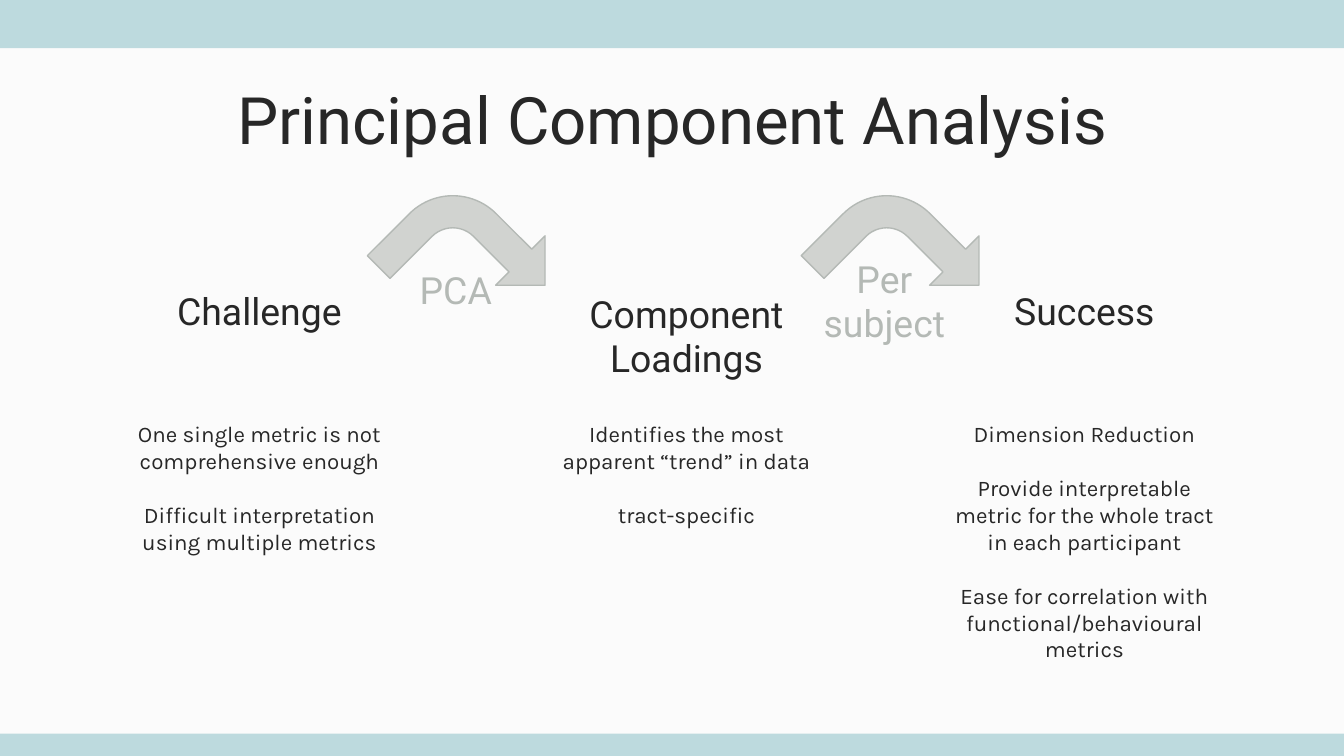
"""Build the Principal Component Analysis slide: three stages joined by two bent arrows."""
from dataclasses import dataclass

from pptx import Presentation
from pptx.dml.color import RGBColor
from pptx.enum.shapes import MSO_SHAPE
from pptx.enum.text import MSO_ANCHOR, PP_ALIGN
from pptx.slide import Slide
from pptx.util import Cm, Pt

RECTANGLE = MSO_SHAPE.RECTANGLE
BENT_ARROW = MSO_SHAPE.BENT_ARROW
TOP = MSO_ANCHOR.TOP
BOTTOM = MSO_ANCHOR.BOTTOM
CENTER = PP_ALIGN.CENTER


@dataclass(frozen=True)
class TextStyle:
    font: str
    size: float
    color: str
    anchor: MSO_ANCHOR = TOP
    gap: float = 0


@dataclass(frozen=True)
class Theme:
    background: str = "FBFBFB"
    band: str = "BDDADE"
    arrow_fill: str = "D1D3D0"
    arrow_line: str = "B4B9B5"
    title: TextStyle = TextStyle("Roboto", 35, "272727")
    heading: TextStyle = TextStyle("Roboto", 20, "272727", BOTTOM)
    step: TextStyle = TextStyle("Roboto", 20, "B4B9B5", BOTTOM)
    body: TextStyle = TextStyle("Karla", 12, "272727", TOP, 14.4)


@dataclass(frozen=True)
class Box:
    left: float
    top: float
    width: float
    height: float

    def lengths(self) -> tuple[Cm, Cm, Cm, Cm]:
        """Return the position and size as lengths."""
        return Cm(self.left), Cm(self.top), Cm(self.width), Cm(self.height)


@dataclass(frozen=True)
class Stage:
    left: float
    heading_top: float
    heading: str
    body_height: float
    points: tuple[str, ...]


@dataclass(frozen=True)
class Step:
    arrow_left: float
    label_left: float
    label_top: float
    lines: tuple[str, ...]


THEME = Theme()
SLIDE_WIDTH, SLIDE_HEIGHT = 25.4, 14.29
COLUMN_WIDTH, HEADING_HEIGHT, BODY_TOP = 5.79, 1.04, 7.7
INSET = 0.25
ARROW_TOP, ARROW_WIDTH, ARROW_HEIGHT = 3.56, 2.77, 2.64
ARROW_ADJUSTMENTS = (0.23, 0.25, 0.25, 0.44)
BANDS = (Box(0, 0, SLIDE_WIDTH, 0.91), Box(0, 13.87, SLIDE_WIDTH, 0.42))
STAGES = (
    Stage(2.01, 5.51, "Challenge", 3.02, (
        "One single metric is not comprehensive enough",
        "Difficult interpretation using multiple metrics",
    )),
    Stage(10.08, 6.4, "Component Loadings", 3.02, (
        "Identifies the most apparent “trend” in data",
        "tract-specific",
    )),
    Stage(17.6, 5.51, "Success", 4.5, (
        "Dimension Reduction",
        "Provide interpretable metric for the whole tract in each participant",
        "Ease for correlation with functional/behavioural metrics",
    )),
)
STEPS = (
    Step(7.47, 5.72, 5.11, ("PCA",)),
    Step(15.67, 13.82, 5.74, ("Per", "subject")),
)


def add_text(slide: Slide, box: Box, lines: tuple[str, ...], style: TextStyle) -> None:
    """Add a centred text box with one paragraph for each line."""
    frame = slide.shapes.add_textbox(*box.lengths()).text_frame
    frame.word_wrap = True
    frame.vertical_anchor = style.anchor
    frame.margin_left = frame.margin_right = Cm(INSET)
    frame.margin_top = frame.margin_bottom = Cm(INSET)
    frame.text = "\n".join(lines)
    for index, paragraph in enumerate(frame.paragraphs):
        paragraph.alignment = CENTER
        paragraph.space_before = Pt(style.gap if index else 0)
        for run in paragraph.runs:
            run.font.name = style.font
            run.font.size = Pt(style.size)
            run.font.color.rgb = RGBColor.from_string(style.color)


def add_band(slide: Slide, box: Box) -> None:
    """Add a plain coloured band across the slide."""
    band = slide.shapes.add_shape(RECTANGLE, *box.lengths())
    band.shadow.inherit = False
    band.fill.solid()
    band.fill.fore_color.rgb = RGBColor.from_string(THEME.band)
    band.line.fill.background()


def add_stage(slide: Slide, stage: Stage) -> None:
    """Add the heading and the points of a stage."""
    heading_box = Box(stage.left, stage.heading_top, COLUMN_WIDTH, HEADING_HEIGHT)
    body_box = Box(stage.left, BODY_TOP, COLUMN_WIDTH, stage.body_height)
    add_text(slide, heading_box, (stage.heading,), THEME.heading)
    add_text(slide, body_box, stage.points, THEME.body)


def add_step(slide: Slide, step: Step) -> None:
    """Add the bent arrow between two stages and its label."""
    arrow_box = Box(step.arrow_left, ARROW_TOP, ARROW_WIDTH, ARROW_HEIGHT)
    arrow = slide.shapes.add_shape(BENT_ARROW, *arrow_box.lengths())
    arrow.rotation = 45
    for index, value in enumerate(ARROW_ADJUSTMENTS):
        arrow.adjustments[index] = value
    arrow.shadow.inherit = False
    arrow.fill.solid()
    arrow.fill.fore_color.rgb = RGBColor.from_string(THEME.arrow_fill)
    arrow.line.color.rgb = RGBColor.from_string(THEME.arrow_line)
    arrow.line.width = Pt(0.75)
    label_box = Box(step.label_left, step.label_top, COLUMN_WIDTH, HEADING_HEIGHT)
    add_text(slide, label_box, step.lines, THEME.step)


def main() -> None:
    """Build and save the presentation."""
    presentation = Presentation()
    presentation.slide_width = Cm(SLIDE_WIDTH)
    presentation.slide_height = Cm(SLIDE_HEIGHT)
    slide = presentation.slides.add_slide(presentation.slide_layouts[6])
    slide.background.fill.solid()
    slide.background.fill.fore_color.rgb = RGBColor.from_string(THEME.background)
    for band in BANDS:
        add_band(slide, band)
    title_box = Box(2.01, 1.24, 21.41, 1.6)
    add_text(slide, title_box, ("Principal Component Analysis",), THEME.title)
    for stage in STAGES:
        add_stage(slide, stage)
    for step in STEPS:
        add_step(slide, step)
    presentation.save("out.pptx")


if __name__ == "__main__":
    main()
